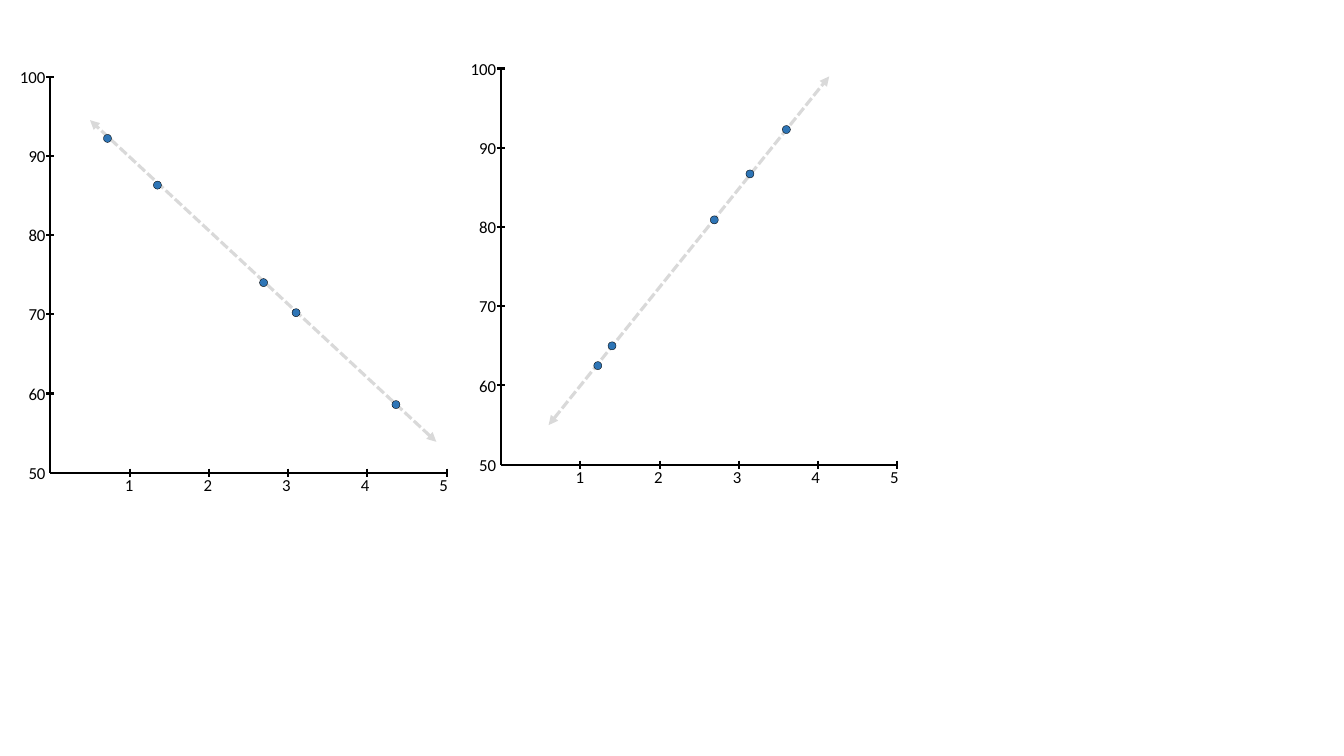
from lxml import etree
from pptx import Presentation
from pptx.dml.color import RGBColor
from pptx.enum.dml import MSO_LINE
from pptx.enum.shapes import MSO_CONNECTOR, MSO_SHAPE
from pptx.enum.text import PP_ALIGN
from pptx.oxml.ns import qn
from pptx.util import Inches, Pt

STRAIGHT = MSO_CONNECTOR.STRAIGHT
OVAL = MSO_SHAPE.OVAL
SYS_DASH = MSO_LINE.SQUARE_DOT
LEFT, RIGHT = PP_ALIGN.LEFT, PP_ALIGN.RIGHT

AXIS = 3.93                  # length of each axis, inches
X_MAX, Y_MIN, Y_MAX = 5, 50, 100
Y_STEP = 10
HALF_TICK = 0.04
DOT = 0.08
LABEL_HEIGHT = 0.3
INSET = 0.1                  # side margin of a text box
LABEL_PITCH = 0.78           # spacing of the x-axis numbers


def color(hex_string):
    return RGBColor.from_string(hex_string)


def add_line(shapes, start, end, hex_color="000000", width=1.5):
    line = shapes.add_connector(STRAIGHT, *map(Inches, (*start, *end)))
    line.line.color.rgb = color(hex_color)
    line.line.width = Pt(width)
    etree.SubElement(line._element.spPr, qn("a:effectLst"))
    return line


def add_label(shapes, text, left, top, width, align):
    label = shapes.add_textbox(*map(Inches, (left, top, width, LABEL_HEIGHT)))
    frame = label.text_frame
    frame.word_wrap = True
    paragraph = frame.paragraphs[0]
    paragraph.text = text
    paragraph.alignment = align
    font = paragraph.runs[0].font
    font.name, font.size = "Calibri", Pt(12)
    font.color.rgb = color("000000")
    return paragraph


def add_trend(shapes, start, end):
    trend = add_line(shapes, start, end, "D9D9D9", 2.25)
    trend.line.dash_style = SYS_DASH
    outline = trend.line._get_or_add_ln()
    for tag in ("a:headEnd", "a:tailEnd"):
        etree.SubElement(outline, qn(tag), type="triangle")


def add_point(shapes, x, y):
    point = shapes.add_shape(
        OVAL, *map(Inches, (x - DOT / 2, y - DOT / 2, DOT, DOT)))
    point.shadow.inherit = False
    point.fill.solid()
    point.fill.fore_color.rgb = color("2E75B6")
    point.line.color.rgb = color("000000")
    point.line.width = Pt(0.25)


def draw_scatter(shapes, left, top, trend, points):
    """Draw a scatter plot whose axes fill a square at left, top."""
    bottom = top + AXIS

    def place(x, y):
        return (left + x / X_MAX * AXIS,
                bottom - (y - Y_MIN) / (Y_MAX - Y_MIN) * AXIS)

    add_trend(shapes, *(place(*end) for end in trend))

    # Axes
    add_line(shapes, (left, top), (left, bottom))
    add_line(shapes, (left + AXIS, bottom), (left, bottom))

    # Horizontal scale: ticks and one row of tabbed numbers
    numbers = range(1, X_MAX + 1)
    for number in numbers:
        x, y = place(number, Y_MIN)
        add_line(shapes, (x, y - HALF_TICK), (x, y + HALF_TICK))
    row = add_label(shapes, "\t".join(map(str, numbers)),
                    left + 0.64, bottom - 0.03, 3.49, LEFT)
    tabs = etree.SubElement(row._p.get_or_add_pPr(), qn("a:tabLst"))
    for index in range(1, X_MAX):
        etree.SubElement(tabs, qn("a:tab"), algn="l",
                         pos=str(Inches(index * LABEL_PITCH)))

    # Vertical scale: the lowest value has a label but no tick
    for value in range(Y_MIN, Y_MAX + 1, Y_STEP):
        x, y = place(0, value)
        if value > Y_MIN:
            add_line(shapes, (x - HALF_TICK, y), (x + HALF_TICK, y))
        width = 0.26 + INSET * (2 if value == Y_MAX else 1.1)
        add_label(shapes, str(value), x + 0.05 - width,
                  y - LABEL_HEIGHT / 2, width, RIGHT)

    for point in points:
        add_point(shapes, *place(*point))


def main():
    deck = Presentation()
    deck.slide_width, deck.slide_height = Inches(13.33), Inches(7.5)
    slide = deck.slides.add_slide(deck.slide_layouts[6])

    # Rising plot
    draw_scatter(slide.shapes, 4.97, 0.68,
                 trend=[(0.6, 55), (4.14, 99)],
                 points=[(1.4, 65), (3.6, 92.3), (2.69, 80.9),
                         (1.22, 62.5), (3.14, 86.7)])

    # Falling plot, kept together as a group
    falling = slide.shapes.add_group_shape()
    draw_scatter(falling.shapes, 0.5, 0.76,
                 trend=[(4.87, 53.9), (0.5, 94.5)],
                 points=[(3.1, 70.2), (4.36, 58.6), (2.69, 74),
                         (1.35, 86.3), (0.72, 92.2)])

    deck.save("out.pptx")


if __name__ == "__main__":
    main()
